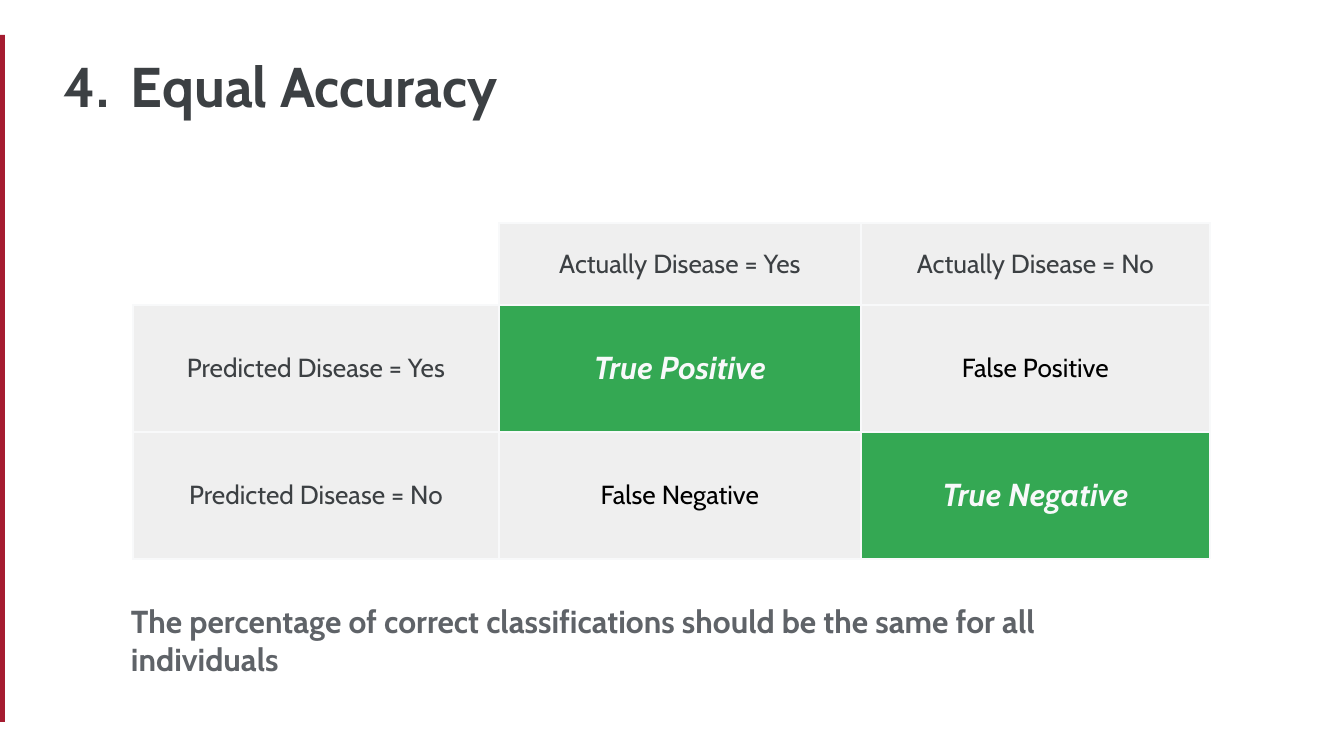
"""Build the equal accuracy slide with its confusion matrix."""
from lxml import etree
from pptx import Presentation
from pptx import util as u
from pptx.dml.color import RGBColor
from pptx.enum import shapes, text
from pptx.oxml.ns import qn

CRIMSON = RGBColor(0xA5, 0x1C, 0x30)
CHARCOAL = RGBColor(0x3C, 0x40, 0x43)
SLATE = RGBColor(0x5F, 0x63, 0x68)
BLACK = RGBColor(0, 0, 0)
PALE = RGBColor(0xEF, 0xEF, 0xEF)
GREEN = RGBColor(0x34, 0xA8, 0x53)
OFF_WHITE = RGBColor(0xF8, 0xF9, 0xFA)

FONT = "Cabin"
TITLE = "4.\tEqual Accuracy"
RULE = "The percentage of correct classifications should be the same for all individuals"
MATRIX = [
    ["", "Actually Disease = Yes", "Actually Disease = No"],
    ["Predicted Disease = Yes", "True Positive", "False Positive"],
    ["Predicted Disease = No", "False Negative", "True Negative"],
]
COLUMNS = [366, 362, 349]
ROWS = [82, 127, 127]
INSET = 13
INDENT = 67


def px(n):
    return u.Emu(round(n * 914400 / 134.4))


def write(frame, words, size, color, bold=False, italic=False,
          align=text.PP_ALIGN.LEFT, indent=0, first=0):
    paragraph = frame.paragraphs[0]
    paragraph.alignment = align
    if indent:
        properties = paragraph._p.get_or_add_pPr()
        properties.set("marL", str(px(indent)))
        properties.set("indent", str(px(first)))
    run = paragraph.add_run()
    run.text = words
    font = run.font
    font.name, font.size, font.bold, font.italic = FONT, u.Pt(size), bold, italic
    font.color.rgb = color


def add_text(slide, box, words, top_inset=INSET, **style):
    frame = slide.shapes.add_textbox(*map(px, box)).text_frame
    frame.word_wrap = True
    frame.margin_left = frame.margin_right = frame.margin_bottom = px(INSET)
    frame.margin_top = px(top_inset)
    write(frame, words, **style)


def add_borders(cell, sides):
    properties = cell._tc.get_or_add_tcPr()
    for side in sides:
        line = etree.SubElement(properties, qn(f"a:ln{side}"), w=str(u.Pt(0.75)))
        fill = etree.SubElement(line, qn("a:solidFill"))
        etree.SubElement(fill, qn("a:srgbClr"), val=str(OFF_WHITE))


def fill_cell(cell, words, row, column):
    add_borders(cell, "LRTB" if words else "RB")
    if not words:
        cell.fill.background()
        return
    header = row == 0 or column == 0
    correct = not header and row == column
    cell.fill.solid()
    cell.fill.fore_color.rgb = GREEN if correct else PALE
    cell.vertical_anchor = text.MSO_ANCHOR.MIDDLE
    cell.margin_left = cell.margin_right = px(INSET)
    cell.margin_top = cell.margin_bottom = px(INSET)
    color = CHARCOAL if header else OFF_WHITE if correct else BLACK
    write(cell.text_frame, words, size=17 if correct else 14, color=color,
          bold=correct, italic=correct, align=text.PP_ALIGN.CENTER)


def add_matrix(slide, left, top):
    matrix = slide.shapes.add_table(
        len(ROWS), len(COLUMNS), px(left), px(top), px(sum(COLUMNS)), px(sum(ROWS))).table
    matrix.first_row = matrix.horz_banding = False
    for column, width in zip(matrix.columns, COLUMNS):
        column.width = px(width)
    for row, height in zip(matrix.rows, ROWS):
        row.height = px(height)
    for r, labels in enumerate(MATRIX):
        for c, words in enumerate(labels):
            fill_cell(matrix.cell(r, c), words, r, c)


def main():
    deck = Presentation()
    deck.slide_width, deck.slide_height = px(1344), px(756)
    slide = deck.slides.add_slide(deck.slide_layouts[6])

    stripe = slide.shapes.add_shape(
        shapes.MSO_SHAPE.RECTANGLE, *map(px, (-3, 35, 8, 687)))
    stripe.shadow.inherit = False
    stripe.fill.solid()
    stripe.fill.fore_color.rgb = CRIMSON
    stripe.line.fill.background()

    add_text(slide, (51, 581, 1039, 156), RULE, top_inset=21,
             size=17, color=SLATE, bold=True, indent=INDENT)
    add_matrix(slide, 133, 223)
    add_text(slide, (51, 39, 1146, 81), TITLE,
             size=30, color=CHARCOAL, bold=True, indent=INDENT, first=-INDENT)
    deck.save("out.pptx")


if __name__ == "__main__":
    main()
